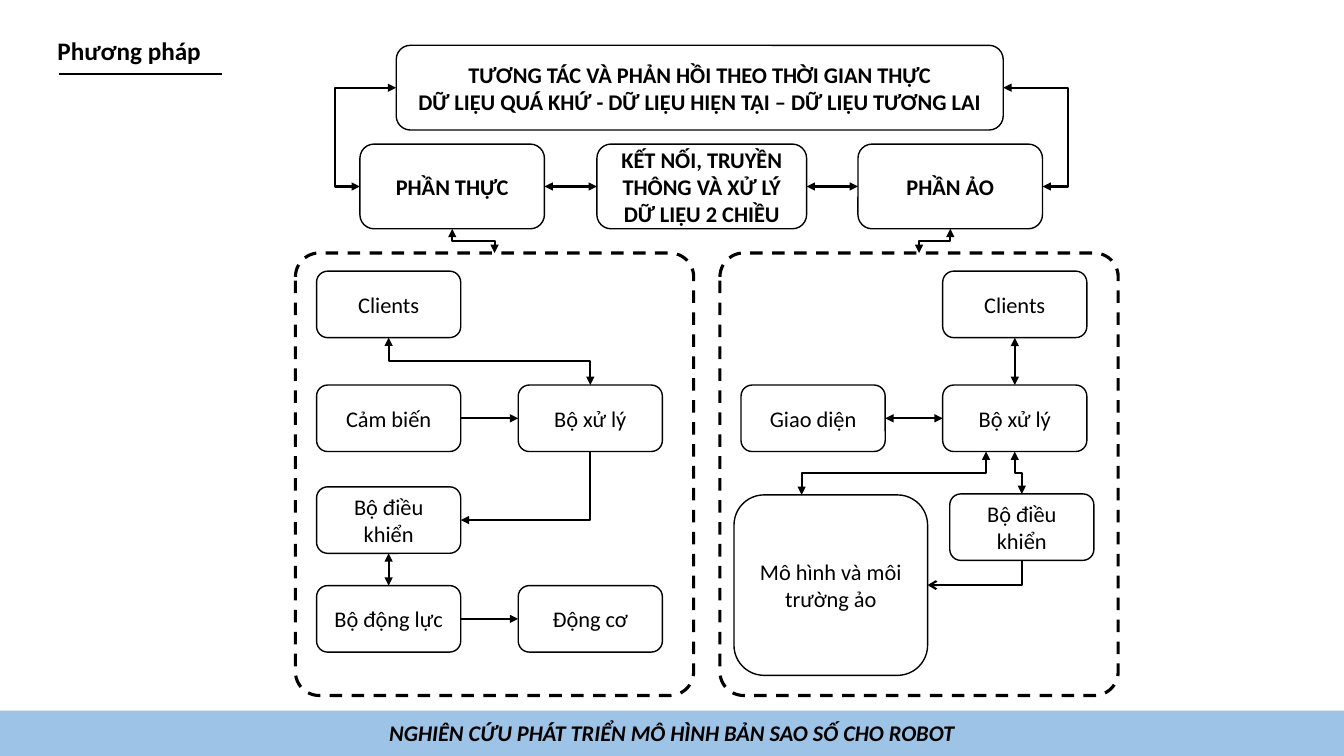
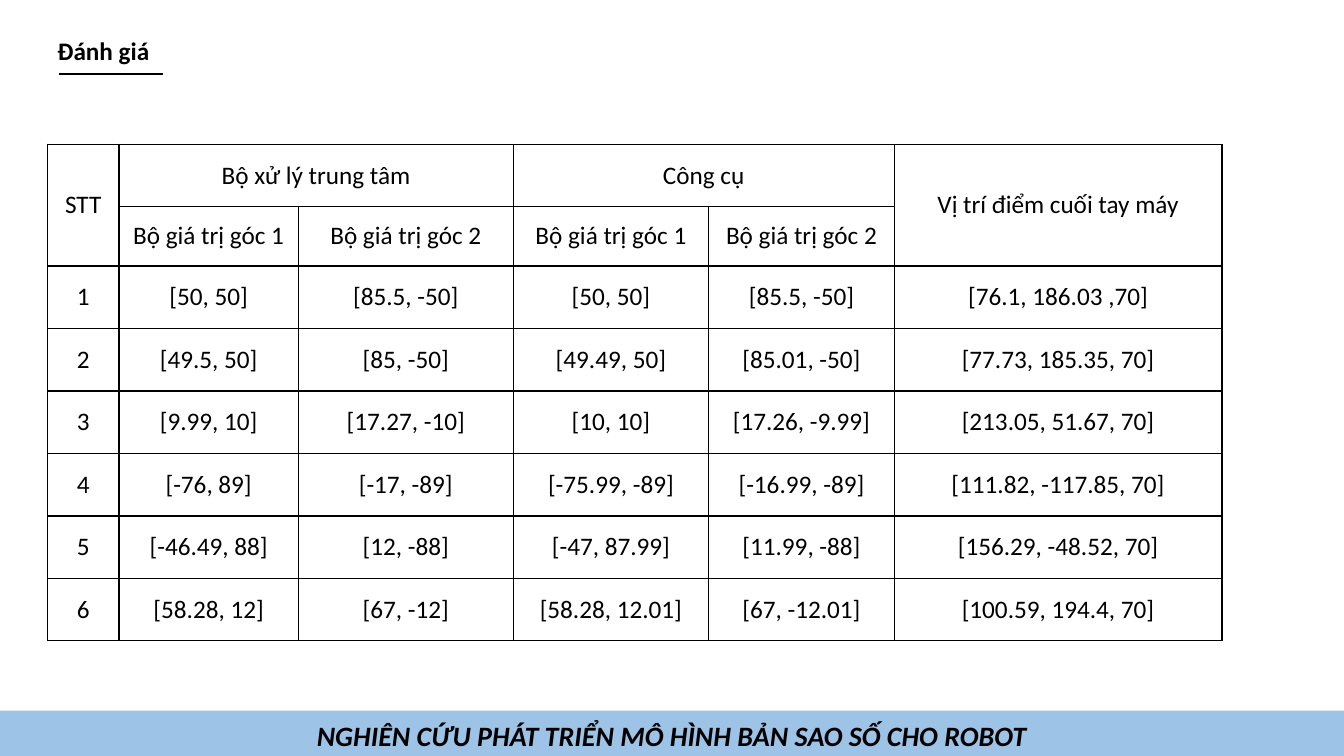
from lxml import etree
from pptx import Presentation
from pptx import util as u
from pptx.dml.color import RGBColor
from pptx.enum import dml, shapes, text
from pptx.oxml import ns

# Shared look
W, H = 13.33, 7.5
FONT, INK, PAPER, BAND = "Calibri", "000000", "FFFFFF", "9DC3E6"
FOOT = "NGHIÊN CỨU PHÁT TRIỂN MÔ HÌNH BẢN SAO SỐ CHO ROBOT"
ROUND = shapes.MSO_SHAPE.ROUNDED_RECTANGLE
MID, CENTER = text.MSO_ANCHOR.MIDDLE, text.PP_ALIGN.CENTER

# Diagram: boxes as key: (left, top, width, height, lines)
BIG, SMALL = 0.84, (1.43, 0.66)
REAL, VIRT, TOP = 2.93, 7.14, 2.51
PANEL = (3.95, 4.39)
COL1, COL2 = 0.21, 2.21
ROW1, ROW2, ROW3, ROW4 = 2.69, 3.82, 4.83, 5.81

HEADS = {
    "time": (3.93, 0.45, 6.02, BIG, ["TƯƠNG TÁC VÀ PHẢN HỒI THEO THỜI GIAN THỰC",
             "DỮ LIỆU QUÁ KHỨ - DỮ LIỆU HIỆN TẠI – DỮ LIỆU TƯƠNG LAI"]),
    "real": (3.57, 1.43, 1.83, BIG, ["PHẦN THỰC"]),
    "link": (5.92, 1.43, 2.08, BIG, ["KẾT NỐI, TRUYỀN THÔNG VÀ XỬ LÝ DỮ LIỆU 2 CHIỀU"]),
    "virt": (8.51, 1.43, 1.83, BIG, ["PHẦN ẢO"]),
}
PARTS = {
    "client": (REAL + COL1, ROW1, *SMALL, ["Clients"]),
    "sensor": (REAL + COL1, ROW2, *SMALL, ["Cảm biến"]),
    "proc": (REAL + COL2, ROW2, *SMALL, ["Bộ xử lý"]),
    "ctrl": (REAL + COL1, ROW3, *SMALL, ["Bộ điều khiển"]),
    "drive": (REAL + COL1, ROW4, *SMALL, ["Bộ động lực"]),
    "motor": (REAL + COL2, ROW4, *SMALL, ["Động cơ"]),
    "vclient": (VIRT + COL2, ROW1, *SMALL, ["Clients"]),
    "screen": (VIRT + COL1, ROW2, *SMALL, ["Giao diện"]),
    "vproc": (VIRT + COL2, ROW2, *SMALL, ["Bộ xử lý"]),
    "vctrl": (9.42, 4.9, *SMALL, ["Bộ điều khiển"]),
    "model": (7.28, 4.91, 1.92, 1.79, ["Mô hình và môi trường ảo"]),
}

# Links: from, to, style; an end is (box, side) or a point (x, y)
N, L, S, R = range(4)
ONE, TWO, OPEN = (None, "triangle"), ("triangle", "triangle"), (None, "arrow")
STRAIGHT = [
    (("sensor", R), ("proc", L), ONE),
    (("ctrl", S), ("drive", N), TWO),
    (("drive", R), ("motor", L), ONE),
    (("screen", R), ("vproc", L), TWO),
    (("vclient", S), ("vproc", N), TWO),
    (("real", R), ("link", L), TWO),
    (("link", R), ("virt", L), TWO),
]
DOWN = [  # start downwards: from, to, style, number of bends
    (("client", S), ("proc", N), TWO, 2),
    (("proc", S), ("ctrl", R), ONE, 1),
    ((9.78, 4.48), (7.95, 4.91), TWO, 2),
    (("vproc", S), ("vctrl", N), TWO, 2),
    (("vctrl", S), ("model", R), OPEN, 1),
    (("real", S), ("area1", N), TWO, 2),
    (("virt", S), ("area2", N), TWO, 2),
]
LOOPS = [  # around the outside: from, to, reach as a share of the width
    (("time", R), ("virt", R), 1.65),
    (("time", L), ("real", L), 1.68),
]

# Table
COLS = [0.71, 1.78, 2.13, 1.94, 1.84, 3.25]
ROWS = [0.62, 0.59] + [0.62] * 6
MERGE = [(0, 0, 1, 0), (0, 1, 0, 2), (0, 3, 0, 4), (0, 5, 1, 5)]
DATA = [
    ["STT", "Bộ xử lý trung tâm", "", "Công cụ", "", "Vị trí điểm cuối tay máy"],
    [""] + ["Bộ giá trị góc 1", "Bộ giá trị góc 2"] * 2 + [""],
    ["1", "[50, 50]", "[85.5, -50]", "[50, 50]", "[85.5, -50]", "[76.1, 186.03 ,70]"],
    ["2", "[49.5, 50]", "[85, -50]", "[49.49, 50]", "[85.01, -50]", "[77.73, 185.35, 70]"],
    ["3", "[9.99, 10]", "[17.27, -10]", "[10, 10]", "[17.26, -9.99]", "[213.05, 51.67, 70]"],
    ["4", "[-76, 89]", "[-17, -89]", "[-75.99, -89]", "[-16.99, -89]", "[111.82, -117.85, 70]"],
    ["5", "[-46.49, 88]", "[12, -88]", "[-47, 87.99]", "[11.99, -88]", "[156.29, -48.52, 70]"],
    ["6", "[58.28, 12]", "[67, -12]", "[58.28, 12.01]", "[67, -12.01]", "[100.59, 194.4, 70]"],
]


# Helpers
def rgb(code):
    return RGBColor.from_string(code)


def inch(*vals):
    return [u.Inches(v) for v in vals]


def sub(node, tag, **attrs):
    return etree.SubElement(node, ns.qn(tag), attrs)


def write(par, words, size, bold=False, ital=False, align=CENTER):
    par.alignment = align
    run = par.add_run()
    run.text = words
    font = run.font
    font.name, font.size, font.bold, font.italic = FONT, u.Pt(size), bold, ital
    font.color.rgb = rgb(INK)


def shape(sl, kind, at, fill=None, width=None):
    shp = sl.shapes.add_shape(kind, *inch(*at))
    shp.shadow.inherit = False
    if fill:
        shp.fill.solid()
        shp.fill.fore_color.rgb = rgb(fill)
    else:
        shp.fill.background()
    if width:
        shp.line.color.rgb = rgb(INK)
        shp.line.width = u.Pt(width)
    else:
        shp.line.fill.background()
    return shp


def box(sl, at, lines, bold):
    shp = shape(sl, ROUND, at, PAPER, 1)
    frame = shp.text_frame
    frame.vertical_anchor = MID
    for i, words in enumerate(lines):
        par = frame.add_paragraph() if i else frame.paragraphs[0]
        write(par, words, 16, bold)
    return shp


def wire(sl, start, end, tips=(None, None), nodes=None, bent=False):
    kind = shapes.MSO_CONNECTOR.ELBOW if bent else shapes.MSO_CONNECTOR.STRAIGHT
    glued = isinstance(start[0], str)
    pts = (0, 0, 0, 0) if glued else (*start, *end)
    cxn = sl.shapes.add_connector(kind, *inch(*pts))
    if glued:
        cxn.begin_connect(nodes[start[0]], start[1])
        cxn.end_connect(nodes[end[0]], end[1])
    cxn.line.color.rgb = rgb(INK)
    cxn.line.width = u.Pt(1.5)
    ln = cxn.line._get_or_add_ln()
    for tag, tip in zip(("a:headEnd", "a:tailEnd"), tips):
        if tip:
            sub(ln, tag, type=tip)
    sub(cxn._element.spPr, "a:effectLst")
    return cxn


def turn(cxn, bends):
    """Rotate an elbow so that it leaves its start downwards."""
    x1, y1, x2, y2 = cxn.begin_x, cxn.begin_y, cxn.end_x, cxn.end_y
    wide, high = abs(y2 - y1), abs(x2 - x1)
    cxn.left, cxn.top = (x1 + x2 - wide) // 2, (y1 + y2 - high) // 2
    cxn.width, cxn.height = wide, high
    prop = cxn._element.spPr
    xfrm = prop.find(ns.qn("a:xfrm"))
    right = x2 > x1
    xfrm.set("rot", str((270 if right else 90) * 60000))
    xfrm.set("flipH", str(int(right)))
    xfrm.set("flipV", "0")
    prop.find(ns.qn("a:prstGeom")).set("prst", f"bentConnector{bends + 1}")


def reach(cxn, share):
    geom = cxn._element.spPr.find(ns.qn("a:prstGeom"))
    guides = geom.find(ns.qn("a:avLst"))
    if guides is None:
        guides = sub(geom, "a:avLst")
    sub(guides, "a:gd", name="adj1", fmla=f"val {round(share * 100000)}")


def page(deck, title, rule, size):
    sl = deck.slides.add_slide(deck.slide_layouts[5])
    head = sl.shapes.title
    head.left, head.top, head.width, head.height = inch(0.47, 0.3, 3.91, 0.4)
    frame = head.text_frame
    frame.auto_size = text.MSO_AUTO_SIZE.NONE
    frame.vertical_anchor = text.MSO_ANCHOR.TOP
    write(frame.paragraphs[0], title, 18, True, align=text.PP_ALIGN.LEFT)
    wire(sl, (0.59, 0.73), (rule, 0.73))
    # Footer band
    shape(sl, shapes.MSO_SHAPE.RECTANGLE, (0, 7.05, W, H - 7.05), BAND)
    foot = sl.shapes.add_textbox(*inch(0, 7.12, W, 0.34)).text_frame
    foot.word_wrap = True
    par = foot.paragraphs[0]
    par.line_spacing = 0.9
    write(par, FOOT, size, True, True)
    return sl


def diagram(sl):
    nodes = {}
    for key, left in (("area1", REAL), ("area2", VIRT)):
        area = shape(sl, ROUND, (left, TOP, *PANEL), width=2.25)
        area.adjustments[0] = 0.06
        area.line.dash_style = dml.MSO_LINE.DASH
        nodes[key] = area
    for group, bold in ((PARTS, False), (HEADS, True)):
        for key, (*at, lines) in group.items():
            nodes[key] = box(sl, at, lines, bold)
    for start, end, tips in STRAIGHT:
        wire(sl, start, end, tips, nodes)
    for start, end, tips, bends in DOWN:
        turn(wire(sl, start, end, tips, nodes, True), bends)
    for start, end, share in LOOPS:
        reach(wire(sl, start, end, TWO, nodes, True), share)


def border(cell):
    prop = cell._tc.get_or_add_tcPr()
    for i, side in enumerate("LRTB"):
        ln = sub(prop, f"a:ln{side}", w=str(u.Pt(1)))
        sub(sub(ln, "a:solidFill"), "a:srgbClr", val=INK)
        prop.insert(i, ln)


def grid(sl):
    at = inch(0.47, 1.43, sum(COLS), sum(ROWS))
    tab = sl.shapes.add_table(len(ROWS), len(COLS), *at).table
    tab.first_row = tab.horz_banding = False
    for col, wide in zip(tab.columns, COLS):
        col.width = u.Inches(wide)
    for r, (high, row) in enumerate(zip(ROWS, DATA)):
        tab.rows[r].height = u.Inches(high)
        for c, words in enumerate(row):
            cell = tab.cell(r, c)
            cell.margin_left = cell.margin_right = u.Inches(0.07)
            cell.margin_top = cell.margin_bottom = 0
            cell.vertical_anchor = MID
            cell.fill.background()
            border(cell)
            if words:
                write(cell.text_frame.paragraphs[0], words, 18)
    for r1, c1, r2, c2 in MERGE:
        tab.cell(r1, c1).merge(tab.cell(r2, c2))


def main():
    deck = Presentation()
    deck.slide_width, deck.slide_height = inch(W, H)
    diagram(page(deck, "Phương pháp", 2.2, 16))
    grid(page(deck, "Đánh giá", 1.62, 20))
    deck.save("out.pptx")


if __name__ == "__main__":
    main()
